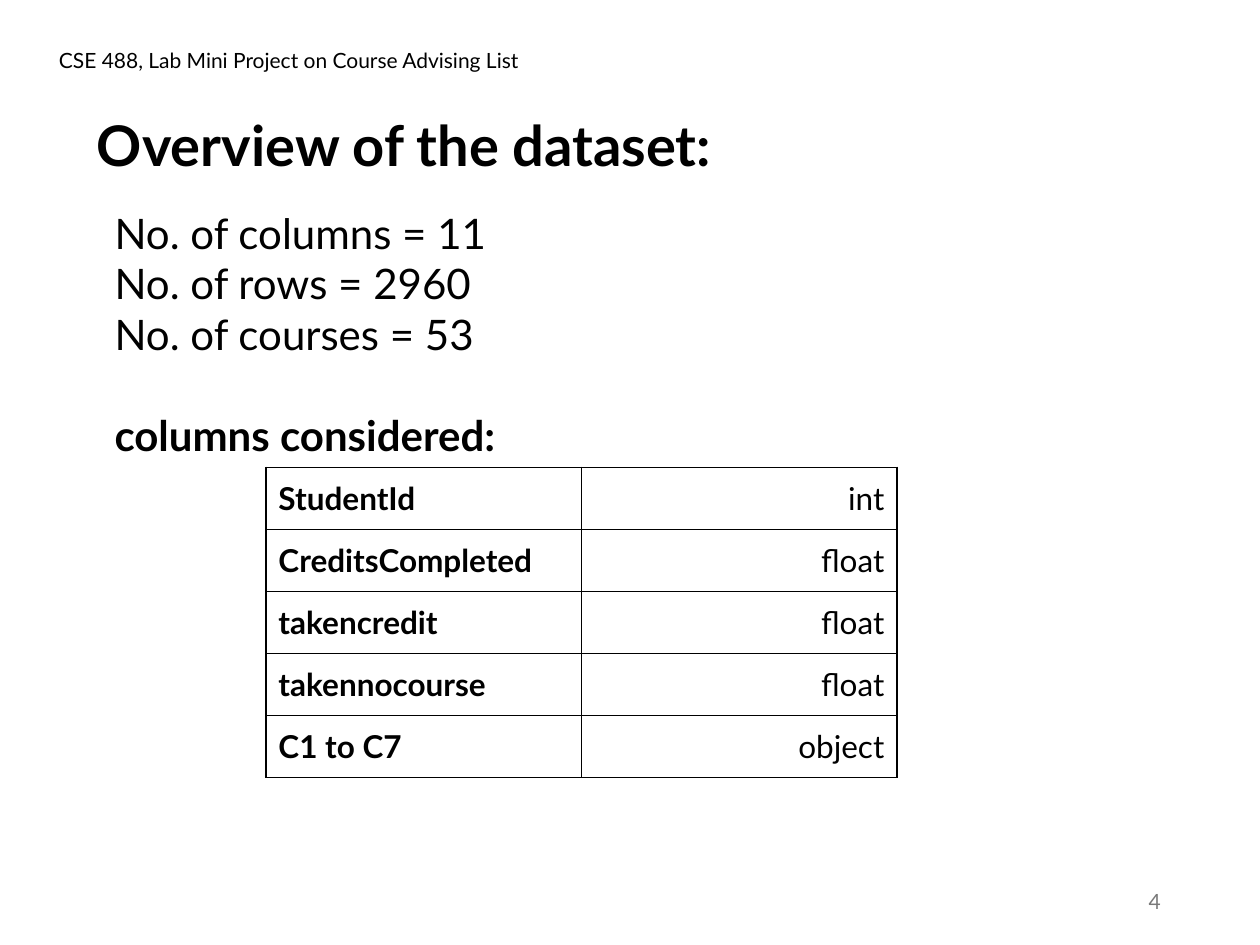
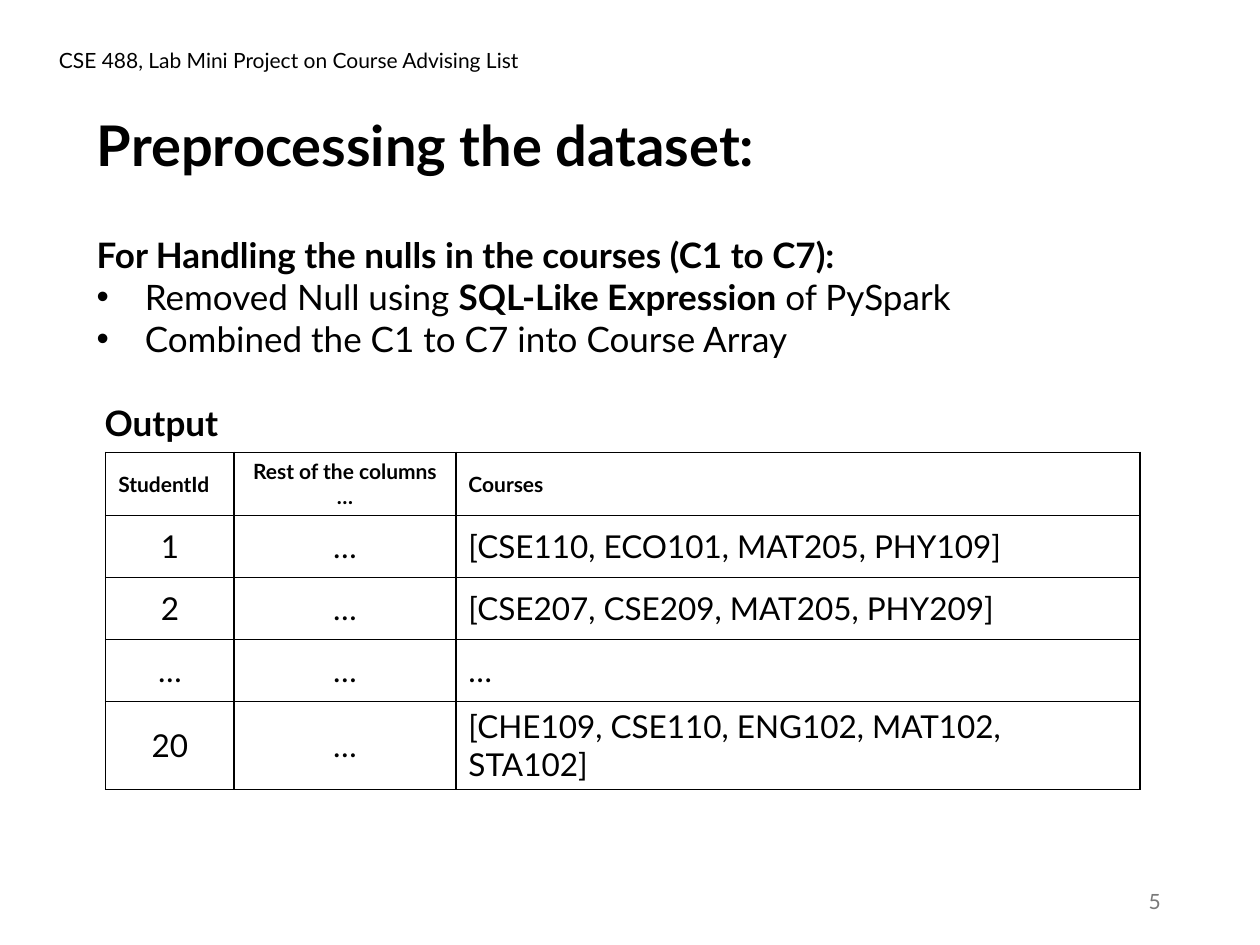
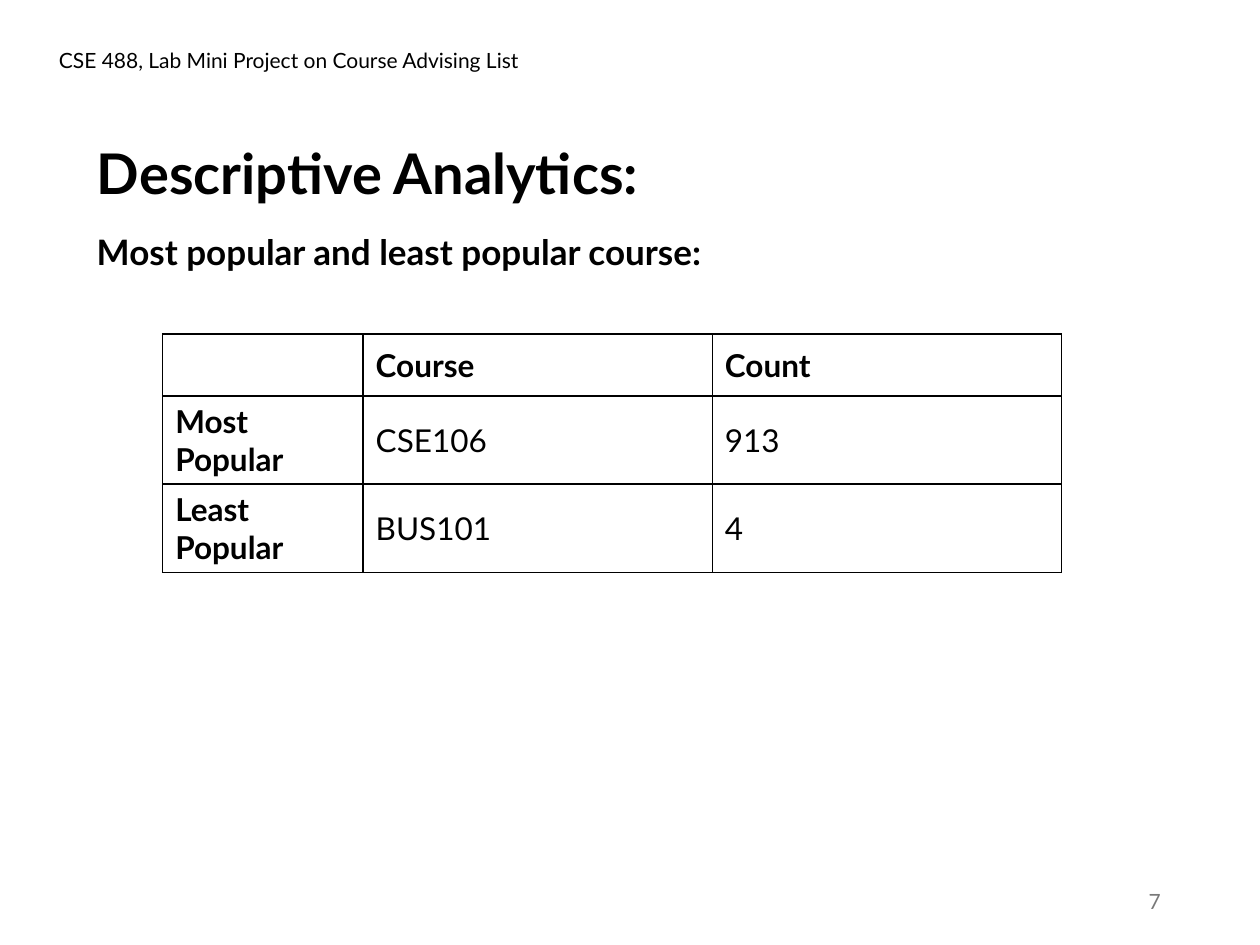
from lxml.etree import SubElement
from pptx import Presentation
from pptx.dml.color import RGBColor
from pptx.enum.text import MSO_ANCHOR as ANCHOR, MSO_AUTO_SIZE as FIT, PP_ALIGN as ALIGN
from pptx.oxml.ns import qn
from pptx.util import Cm, Pt

FONT = "Lato"
BLACK = "000000"
GRAY = "797979"
HEADER = "CSE 488, Lab Mini Project on Course Advising List"
TITLE_LEFT = 1.7
BODY_WIDTH = 21.29
ROW_HEIGHT = 1.25
BULLET_INDENT = 0.97


def rgb(color):
    return RGBColor.from_string(color)


def style(p, size, bold=False, color=BLACK, align=ALIGN.LEFT):
    p.alignment = align
    for r in p.runs:
        r.font.name = FONT
        r.font.size = Pt(size)
        r.font.bold = bold
        r.font.color.rgb = rgb(color)


def add_text(s, text, left, top, width, height, size, bold=False, color=BLACK,
             align=ALIGN.LEFT, anchor=ANCHOR.TOP):
    tf = s.shapes.add_textbox(Cm(left), Cm(top), Cm(width), Cm(height)).text_frame
    tf.word_wrap = True
    tf.vertical_anchor = anchor
    tf.text = text
    for p in tf.paragraphs:
        style(p, size, bold, color, align)
    return tf


def add_bullet(p):
    pPr = p._p.get_or_add_pPr()
    pPr.set("marL", str(Cm(BULLET_INDENT)))
    pPr.set("indent", str(-Cm(BULLET_INDENT)))
    SubElement(pPr, qn("a:buFont"), typeface="Arial")
    SubElement(pPr, qn("a:buChar"), char="•")


def add_slide(prs, title, number, title_top=2.11):
    s = prs.slides.add_slide(prs.slide_layouts[5])
    sp = s.shapes.title
    sp.left, sp.top, sp.width, sp.height = Cm(TITLE_LEFT), Cm(title_top), Cm(20.02), Cm(1.63)
    tf = sp.text_frame
    tf.text = title
    tf.word_wrap = True
    tf.auto_size = FIT.NONE
    tf.vertical_anchor = ANCHOR.TOP
    style(tf.paragraphs[0], 32, True)
    add_text(s, str(number), 17.93, 17.65, 5.72, 1.02, 12, color=GRAY,
             align=ALIGN.RIGHT, anchor=ANCHOR.MIDDLE)
    add_text(s, HEADER, 0.94, 0.84, 13.77, 1.27, 12)
    return s


def add_borders(cell):
    tcPr = cell._tc.get_or_add_tcPr()
    for i, side in enumerate(("a:lnL", "a:lnR", "a:lnT", "a:lnB")):
        ln = SubElement(tcPr, qn(side), w=str(Pt(1)))
        fill = SubElement(ln, qn("a:solidFill"))
        SubElement(fill, qn("a:srgbClr"), val=BLACK)
        tcPr.insert(i, ln)


def add_table(s, rows, left, top, widths, aligns, header_row=False, header_col=False,
              header_size=18):
    shape = s.shapes.add_table(len(rows), len(widths), Cm(left), Cm(top),
                               Cm(sum(widths)), Cm(ROW_HEIGHT * len(rows)))
    table = shape.table
    table.first_row = table.horz_banding = False
    for column, width in zip(table.columns, widths):
        column.width = Cm(width)
    for i, values in enumerate(rows):
        table.rows[i].height = Cm(ROW_HEIGHT)
        for j, value in enumerate(values):
            cell = table.cell(i, j)
            cell.fill.background()
            add_borders(cell)
            cell.vertical_anchor = ANCHOR.MIDDLE
            cell.text_frame.text = value
            in_header = header_row and i == 0
            bold = in_header or (header_col and j == 0)
            for p in cell.text_frame.paragraphs:
                style(p, header_size if in_header else 18, bold, align=aligns[j])
    return table


def overview_slide(prs):
    s = add_slide(prs, "Overview of the dataset:", 4)
    facts = "No. of columns = 11\nNo. of rows = 2960\nNo. of courses = 53\ncolumns considered:"
    tf = add_text(s, facts, 2.06, 4.06, BODY_WIDTH, 5.38, 24)
    heading = tf.paragraphs[-1]
    heading.space_before = Pt(28.8)
    style(heading, 24, True)
    column_types = [
        ("StudentId", "int"),
        ("CreditsCompleted", "float"),
        ("takencredit", "float"),
        ("takennocourse", "float"),
        ("C1 to C7", "object"),
    ]
    add_table(s, column_types, 5.36, 9.42, [6.36] * 2, [ALIGN.LEFT, ALIGN.RIGHT],
              header_col=True)


def preprocessing_slide(prs):
    s = add_slide(prs, "Preprocessing the dataset:", 5)
    steps = ("For Handling the nulls in the courses (C1 to C7):\nRemoved Null using \n"
             "Combined the C1 to C7 into Course Array\nOutput")
    tf = add_text(s, steps, TITLE_LEFT, 3.73, BODY_WIDTH, 5.38, 20)
    heading, removed, combined, output = tf.paragraphs
    heading.line_spacing = 2.0
    for text in ("SQL-Like Expression ", "of PySpark"):
        removed.add_run().text = text
    style(removed, 20)
    removed.runs[1].font.bold = True
    for p in (removed, combined):
        add_bullet(p)
    for p in (heading, output):
        style(p, 20, True)
    output.space_before = Pt(24)
    output._p.get_or_add_pPr().set("marL", str(Cm(0.16)))
    course_arrays = [
        ("StudentId", "Rest of the columns\n…", "Courses"),
        ("1", "…", "[CSE110, ECO101, MAT205, PHY109]"),
        ("2", "…", "[CSE207, CSE209, MAT205, PHY209]"),
        ("…", "…", "…"),
        ("20", "…", "[CHE109, CSE110, ENG102, MAT102, STA102]"),
    ]
    table = add_table(s, course_arrays, 2.13, 9.12, [2.59, 4.47, 13.79],
                      [ALIGN.CENTER, ALIGN.CENTER, ALIGN.LEFT],
                      header_row=True, header_size=12)
    table.cell(0, 0).text_frame.paragraphs[0].alignment = ALIGN.LEFT


def analytics_slide(prs):
    s = add_slide(prs, "Descriptive Analytics:", 7, title_top=2.67)
    tf = add_text(s, "Most popular and least popular course:", TITLE_LEFT, 3.68,
                  BODY_WIDTH, 1.73, 20, True)
    tf.paragraphs[0].line_spacing = 2.0
    popularity = [
        ("", "Course", "Count"),
        ("Most Popular", "CSE106", "913"),
        ("Least Popular", "BUS101", "4"),
    ]
    add_table(s, popularity, 3.28, 6.73, [4.04, 7.04, 7.04], [ALIGN.LEFT] * 3,
              header_row=True, header_col=True)


def main():
    prs = Presentation()
    prs.slide_width, prs.slide_height = Cm(25.4), Cm(19.05)
    overview_slide(prs)
    preprocessing_slide(prs)
    analytics_slide(prs)
    prs.save("out.pptx")


if __name__ == "__main__":
    main()
